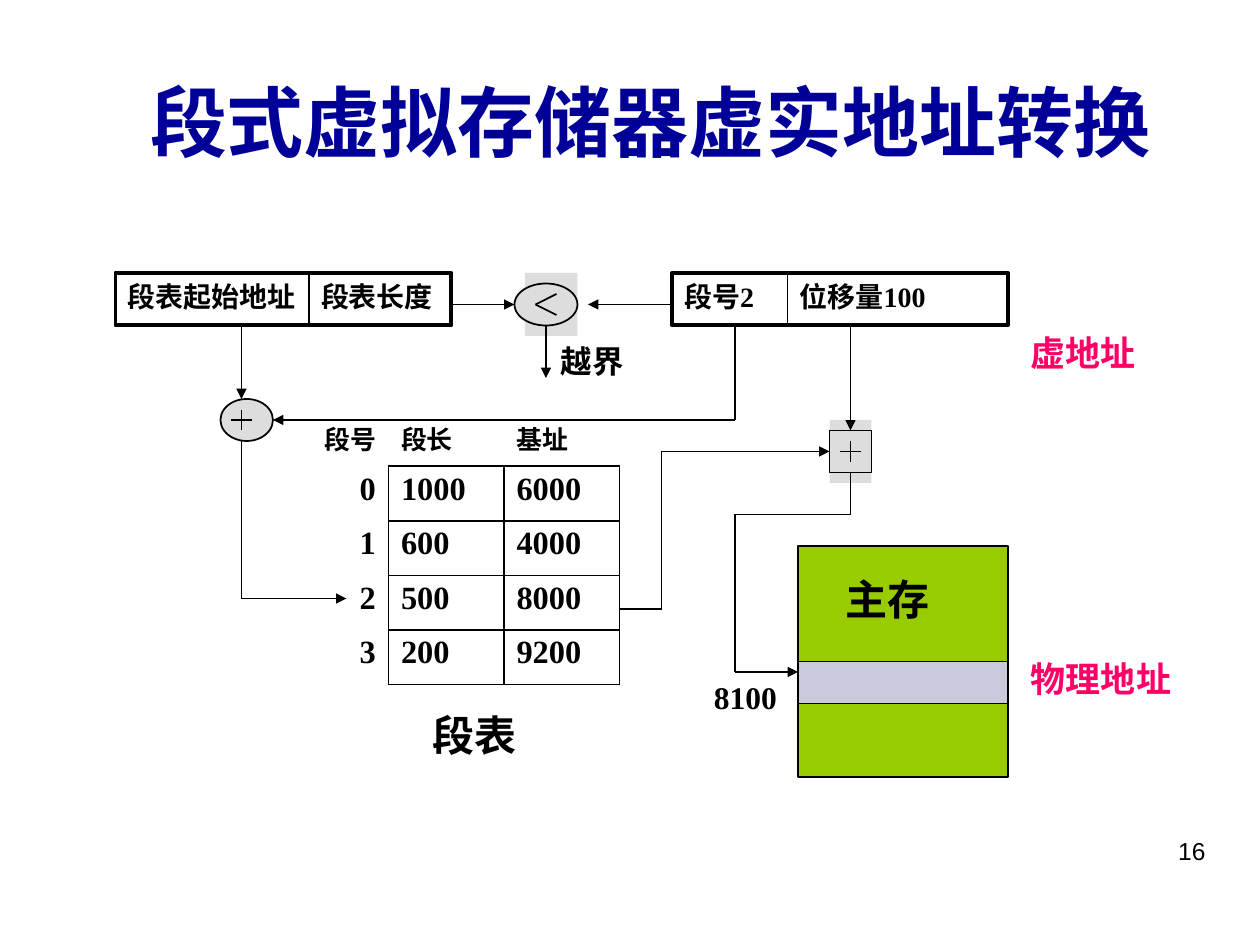
from dataclasses import dataclass
from itertools import pairwise
from lxml.etree import SubElement
from pptx import Presentation
from pptx.dml.color import RGBColor
from pptx.enum.shapes import MSO_CONNECTOR, MSO_SHAPE
from pptx.enum.text import MSO_ANCHOR, PP_ALIGN
from pptx.oxml import parse_xml
from pptx.oxml.ns import nsdecls, qn
from pptx.util import Cm, Pt


@dataclass(frozen=True)
class Theme:
    serif: str = "Times New Roman"
    sans: str = "Arial"
    ink: str = "000000"
    navy: str = "000099"
    pink: str = "FF0066"
    green: str = "99CC00"
    lilac: str = "CACADC"
    grey: str = "DDDDDD"
    title: float = 44
    head: float = 24
    tag: float = 20
    note: float = 18
    cell: float = 18.5
    top: float = 14.8
    field: float = 16
    page: float = 14
    thin: float = 1
    thick: float = 2.25


look = Theme()
STEP = 2.54 / 12
PLAIN = "{2D5ABB26-0587-4C30-8999-92F81FD0307C}"
LEFT, MID, RIGHT = PP_ALIGN.LEFT, PP_ALIGN.CENTER, PP_ALIGN.RIGHT


def grid(*steps):
    return [Cm(n * STEP) for n in steps]


def style(para, size, color=look.ink, align=LEFT, font=look.serif, bold=True):
    para.alignment = align
    for run in para.runs:
        run.font.name = font
        run.font.size = Pt(size)
        run.font.bold = bold
        run.font.color.rgb = RGBColor.from_string(color)


def write(slide, box, words, size, anchor=MSO_ANCHOR.TOP, **looks):
    frame = slide.shapes.add_textbox(*grid(*box)).text_frame
    frame.word_wrap = True
    frame.vertical_anchor = anchor
    frame.text = words
    style(frame.paragraphs[0], size, **looks)


def draw(slide, kind, box, fill=None, line=None):
    shape = slide.shapes.add_shape(kind, *grid(*box))
    shape.shadow.inherit = False
    if fill:
        shape.fill.solid()
        shape.fill.fore_color.rgb = RGBColor.from_string(fill)
    else:
        shape.fill.background()
    if line:
        shape.line.color.rgb = RGBColor.from_string(look.ink)
        shape.line.width = Pt(line)
    else:
        shape.line.fill.background()
    return shape


def route(slide, x, y, spots, tip=True, start=None, end=None):
    lines = []
    for (ax, ay), (bx, by) in pairwise(spots):
        line = slide.shapes.add_connector(
            MSO_CONNECTOR.STRAIGHT, *grid(x + ax, y + ay, x + bx, y + by))
        line.line.color.rgb = RGBColor.from_string(look.ink)
        line.line.width = Pt(look.thin)
        SubElement(line._element.spPr, qn("a:effectLst"))
        lines.append(line)
    if start:
        lines[0].begin_connect(*start)
    if end:
        lines[-1].end_connect(*end)
    if tip:
        SubElement(lines[-1].line._get_or_add_ln(), qn("a:tailEnd"), type="triangle")


def fields(slide, x, y, wide, split, words):
    high = 5
    draw(slide, MSO_SHAPE.RECTANGLE, (x, y, wide, high), line=look.thick)
    route(slide, x, y, [(split, 0), (split, high)], tip=False)
    for left, span, text in zip((0, split), (split, wide - split), words):
        write(slide, (x + left, y, span, high), text, look.field)


def cross(slide, x, y):
    route(slide, x, y, [(-1, 0), (1, 0)], tip=False)
    route(slide, x, y, [(0, -1), (0, 1)], tip=False)


def check(slide, x, y):
    draw(slide, MSO_SHAPE.RECTANGLE, (x + 1, y - 1, 5, 6), look.grey)
    draw(slide, MSO_SHAPE.OVAL, (x, y, 6, 4), look.grey, look.thin)
    route(slide, x, y, [(4, 1), (2, 2), (4, 3)], tip=False)
    write(slide, (x + 1.4, y + 5, 12, 4.8), "越界", look.note, align=MID)


def adder(slide, x, y):
    draw(slide, MSO_SHAPE.OVAL, (x, y, 5, 4), look.grey, look.thin)
    cross(slide, x + 2, y + 2)


def summer(slide, x, y):
    draw(slide, MSO_SHAPE.RECTANGLE, (x, y - 1, 4, 6), look.grey)
    block = draw(slide, MSO_SHAPE.RECTANGLE, (x, y, 4, 4), look.grey, look.thin)
    cross(slide, x + 2, y + 2)
    return block


def edge(cell):
    props = cell._tc.get_or_add_tcPr()
    for side in "LRTB":
        props.append(parse_xml(
            f'<a:ln{side} {nsdecls("a")} w="{Pt(look.thin)}"><a:solidFill>'
            f'<a:srgbClr val="{look.ink}"/></a:solidFill></a:ln{side}>'))


def segments(slide, x, y):
    rows = [("段号", "段长", "基址"), ("0", "1000", "6000"), ("1", "600", "4000"),
            ("2", "500", "8000"), ("3", "200", "9200")]
    wides, highs = (10, 11, 11), (4.4,) + (5.2,) * 4
    frame = slide.shapes.add_table(
        len(rows), len(wides), *grid(x, y, sum(wides), sum(highs)))
    table = frame.table
    table.first_row = table.horz_banding = False
    next(frame._element.iter(qn("a:tableStyleId"))).text = PLAIN
    for col, wide in zip(table.columns, grid(*wides)):
        col.width = wide
    for row, high in zip(table.rows, grid(*highs)):
        row.height = high
    for r, row in enumerate(rows):
        for c, words in enumerate(row):
            cell = table.cell(r, c)
            cell.margin_top, cell.margin_bottom = grid(0.8 if r else 0.2, 0)
            if r and c:
                edge(cell)
            cell.fill.background()
            cell.text = words
            para = cell.text_frame.paragraphs[0]
            para.line_spacing = 0.9
            style(para, look.cell if r else look.top, align=LEFT if c else RIGHT)
    write(slide, (x + 10, y + 27, 16.4, 6), "段表", look.head, align=MID)


def memory(slide, x, y):
    draw(slide, MSO_SHAPE.RECTANGLE, (x, y, 20, 22), look.green, look.thin)
    draw(slide, MSO_SHAPE.RECTANGLE, (x, y + 11, 20, 4), look.lilac, look.thin)
    write(slide, (x + 1, y + 2, 15, 6), "主存", look.head, align=MID)
    write(slide, (x - 14, y + 12, 18, 4.8), "8100", look.note, align=MID)


def wires(slide, x, y, block):
    for spots in (
        [(32, 3), (38, 3)],
        [(53, 3), (45, 3)],
        [(41, 5), (41, 10)],
        [(59, 5), (59, 14), (15, 14)],
        [(12, 5), (12, 12)],
        [(12, 16), (12, 31), (22, 31)],
    ):
        route(slide, x, y, spots)
    route(slide, x, y, [(48, 32), (52, 32), (52, 17), (68, 17)], end=(block, 1))
    route(slide, x, y, [(70, 5), (70, 15)], end=(block, 0))
    route(slide, x, y, [(70, 19), (70, 23), (59, 23), (59, 38), (65, 38)],
          start=(block, 2))


def main():
    deck = Presentation()
    deck.slide_width, deck.slide_height = grid(120, 90)
    slide = deck.slides.add_slide(deck.slide_layouts[6])
    write(slide, (8, 4, 108, 15), "段式虚拟存储器虚实地址转换", look.title,
          anchor=MSO_ANCHOR.MIDDLE, color=look.navy, align=MID, font=look.sans)
    fields(slide, 11, 26, 32, 18.4, ("段表起始地址", "段表长度"))
    fields(slide, 64, 26, 32, 11, ("段号2", "位移量100"))
    check(slide, 49, 27)
    adder(slide, 21, 38)
    segments(slide, 27, 40)
    block = summer(slide, 79, 41)
    memory(slide, 76, 52)
    wires(slide, 11, 26, block)
    for y, words in ((31, "虚地址"), (62, "物理地址")):
        write(slide, (97, y, 18, 5.3), words, look.tag, color=look.pink)
    write(slide, (86, 79, 30, 6.2), "16", look.page,
          align=RIGHT, font=look.sans, bold=False)
    deck.save("out.pptx")


if __name__ == "__main__":
    main()
